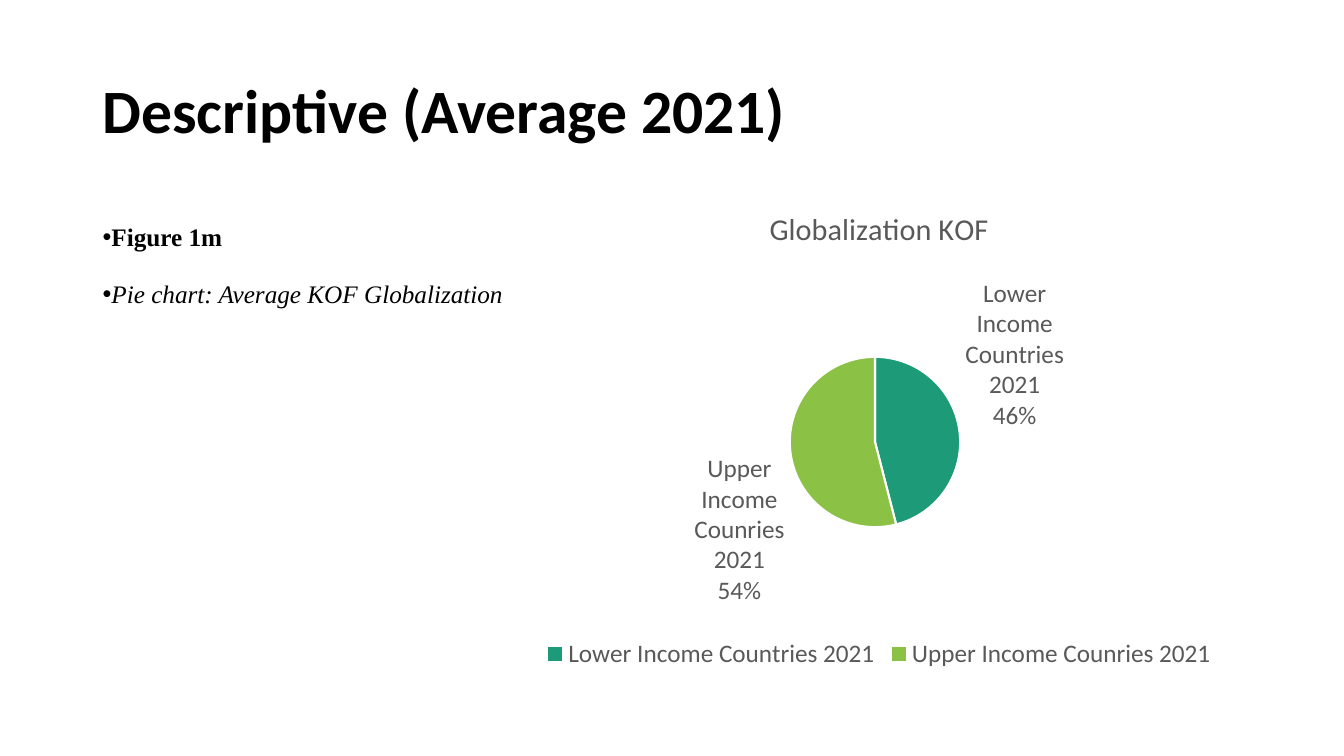
from lxml.etree import SubElement
from pptx import Presentation
from pptx.chart.data import CategoryChartData
from pptx.dml.color import RGBColor
from pptx.enum.chart import XL_CHART_TYPE, XL_LABEL_POSITION, XL_LEGEND_POSITION
from pptx.enum.text import MSO_ANCHOR, PP_ALIGN
from pptx.oxml.ns import qn
from pptx.util import Inches, Pt

COLORS = {"text": "000000", "chart_text": "595959", "line": "FFFFFF",
          "lower": "1D9A78", "upper": "8BC145"}
MARGIN = 0.92


def color(name):
    return RGBColor.from_string(COLORS[name])


def style(font, name, size, color_name, bold=False, italic=False):
    font.name = name
    font.size = Pt(size)
    font.bold = bold
    font.italic = italic
    font.color.rgb = color(color_name)


def add_text_frame(slide, box):
    text_frame = slide.shapes.add_textbox(*map(Inches, box)).text_frame
    text_frame.word_wrap = True
    return text_frame


def add_title(slide, box, text):
    text_frame = add_text_frame(slide, box)
    text_frame.vertical_anchor = MSO_ANCHOR.MIDDLE
    text_frame.text = text
    paragraph = text_frame.paragraphs[0]
    paragraph.line_spacing = 0.9
    style(paragraph.runs[0].font, "Calibri", 44, "text", bold=True)


def add_caption(slide, box, label, description):
    text_frame = add_text_frame(slide, box)
    text_frame.text = f"{label}\n{description}"
    for index, paragraph in enumerate(text_frame.paragraphs):
        paragraph.alignment = PP_ALIGN.JUSTIFY
        paragraph.line_spacing = 1.5
        paragraph.space_after = Pt(8)
        # Hanging bullet
        properties = paragraph._p.get_or_add_pPr()
        properties.set("marL", "0")
        properties.set("indent", str(-Inches(0.25)))
        SubElement(properties, qn("a:buFont")).set("typeface", "Arial")
        SubElement(properties, qn("a:buChar")).set("char", "•")
        style(paragraph.runs[0].font, "Times New Roman", 18, "text",
              bold=index == 0, italic=index == 1)


def add_pie(slide, box, title, values):
    data = CategoryChartData()
    data.categories = list(values)
    data.add_series("Series 1", list(values.values()))
    chart = slide.shapes.add_chart(
        XL_CHART_TYPE.PIE, *map(Inches, box), data).chart
    style(chart.font, "Calibri", 18, "text")

    # Title and legend
    chart.has_title = True
    chart.chart_title.text_frame.text = title
    chart.chart_title.include_in_layout = False
    run = chart.chart_title.text_frame.paragraphs[0].runs[0]
    style(run.font, "Calibri", 21.6, "chart_text")
    chart.has_legend = True
    chart.legend.position = XL_LEGEND_POSITION.BOTTOM
    chart.legend.include_in_layout = False
    style(chart.legend.font, "Calibri", 18, "chart_text")

    # Slices
    plot = chart.plots[0]
    plot.vary_by_categories = True
    for index, name in enumerate(("lower", "upper")):
        slice_format = plot.series[0].points[index].format
        slice_format.fill.solid()
        slice_format.fill.fore_color.rgb = color(name)
        slice_format.line.color.rgb = color("line")
        slice_format.line.width = Pt(1.5)

    # Category and percentage on separate lines
    labels = plot.series[0].data_labels
    labels.show_value = False
    labels.show_category_name = True
    labels.show_percentage = True
    labels.position = XL_LABEL_POSITION.OUTSIDE_END
    style(labels.font, "Calibri", 18, "chart_text")
    element = labels._element
    separator = SubElement(element, qn("c:separator"))
    separator.text = "\n"
    element.find(qn("c:showBubbleSize")).addnext(separator)


def main():
    presentation = Presentation()
    presentation.slide_width = Inches(13.33)
    presentation.slide_height = Inches(7.5)
    slide = presentation.slides.add_slide(presentation.slide_layouts[6])
    add_title(slide, (MARGIN, 0.4, 11.5, 1.45), "Descriptive (Average 2021)")
    add_caption(slide, (MARGIN, 2, 11.29, 1.45), "Figure 1m",
                "Pie chart: Average KOF Globalization")
    add_pie(slide, (5.02, 1.85, 7.4, 4.84), "Globalization KOF",
            {"Lower Income Countries 2021": 46,
             "Upper Income Counries 2021": 54})
    presentation.save("out.pptx")


if __name__ == "__main__":
    main()
